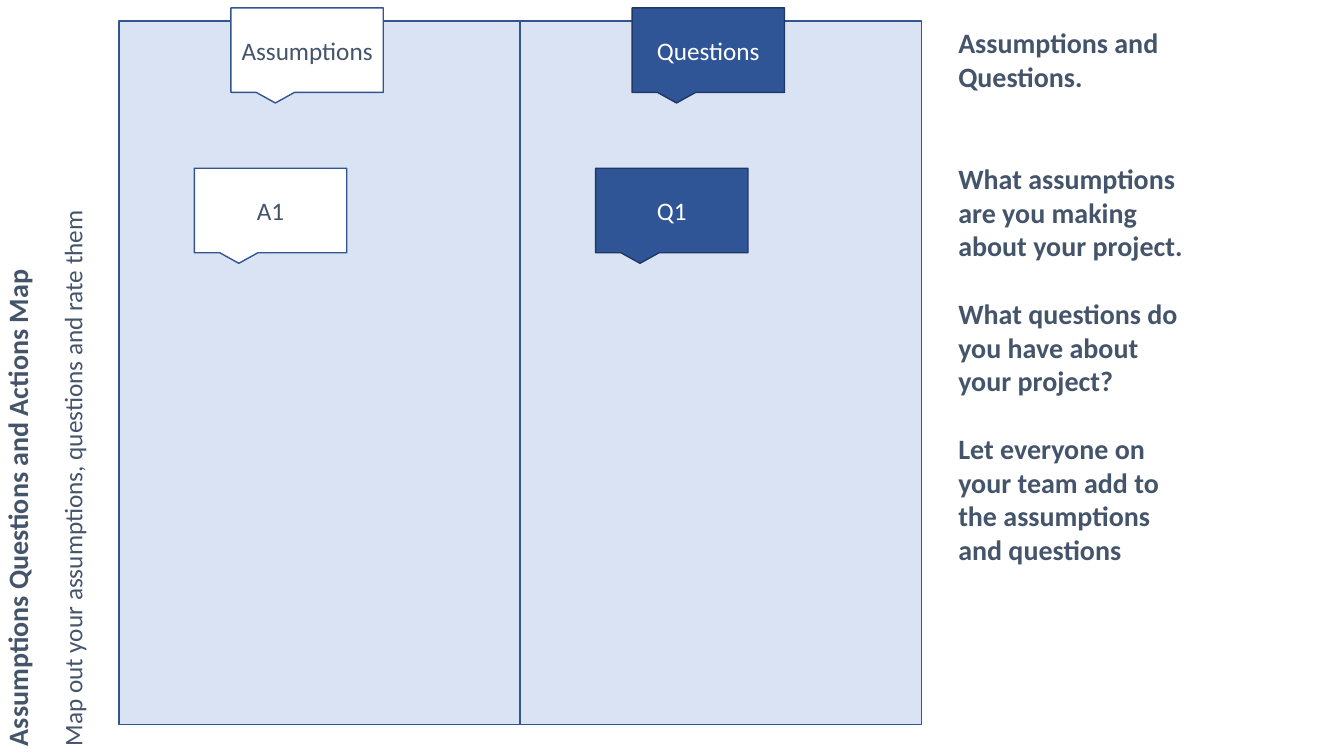
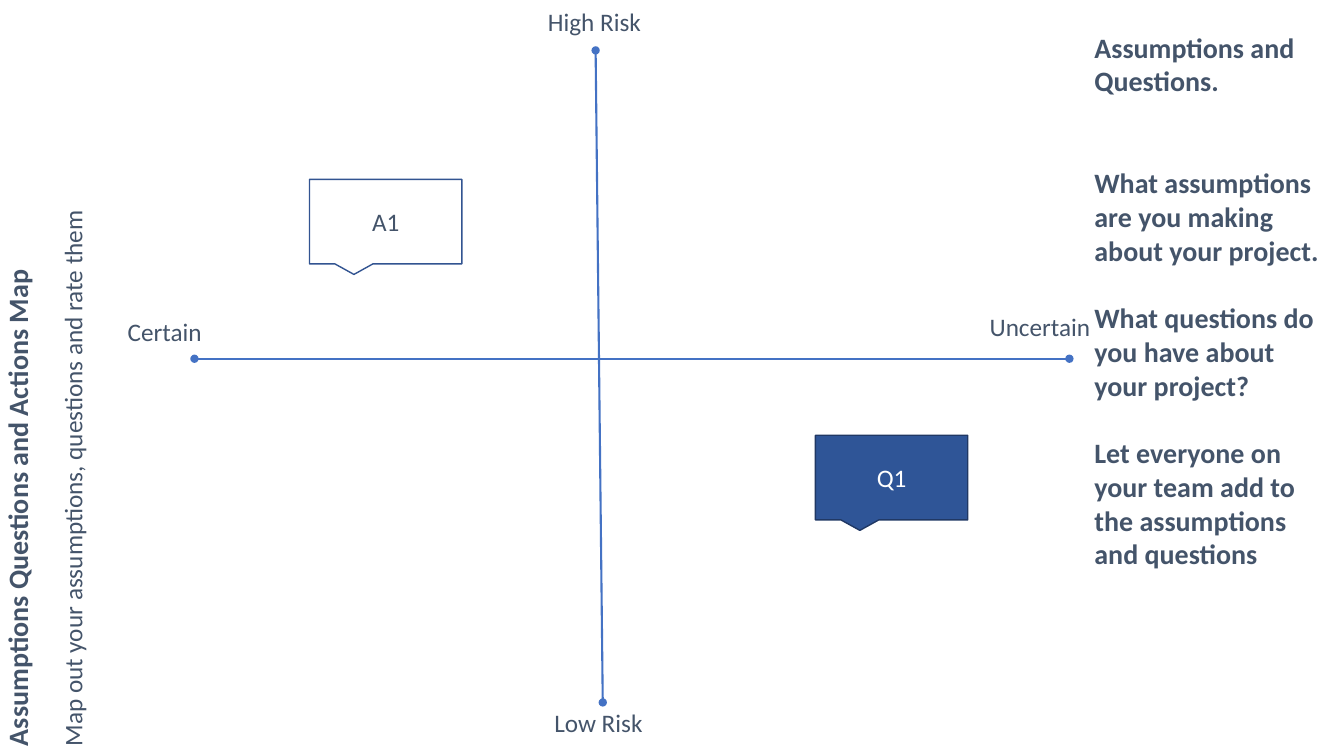
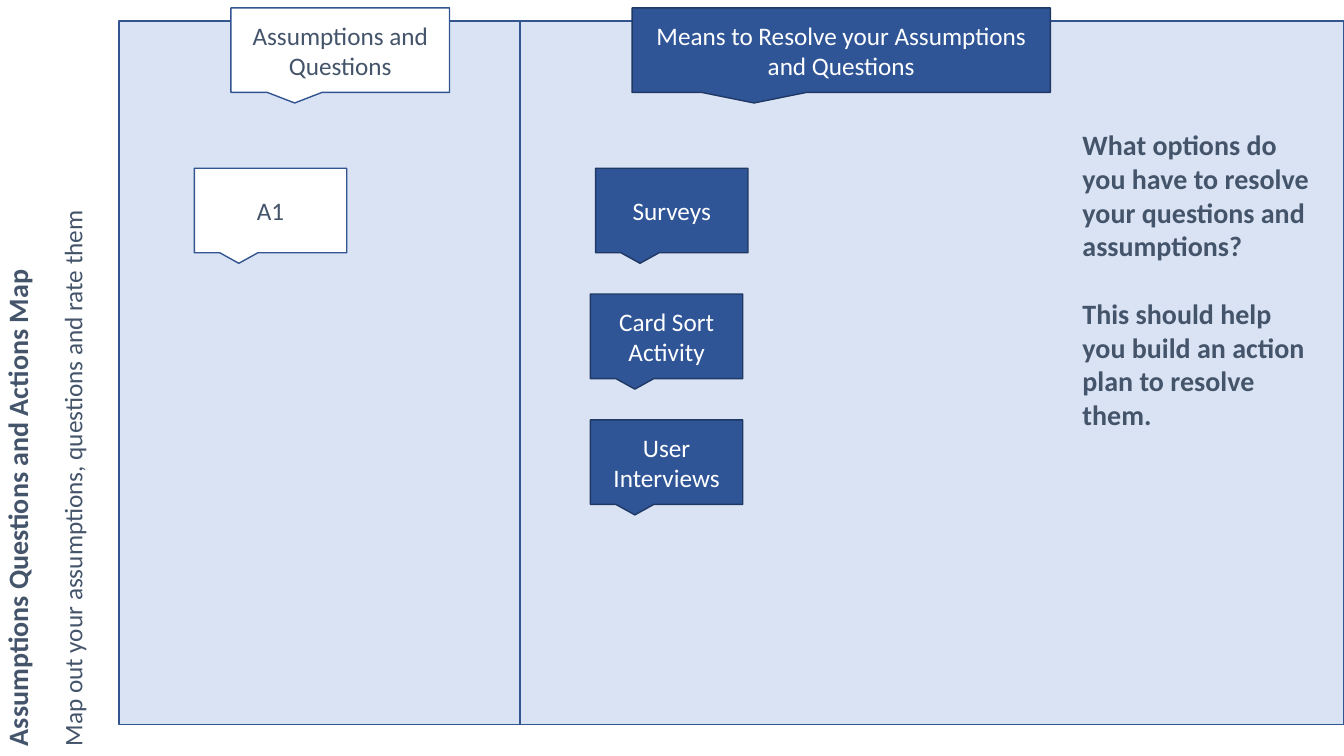
from lxml import etree
from pptx import Presentation
from pptx.dml.color import RGBColor
from pptx.enum.shapes import MSO_CONNECTOR, MSO_SHAPE
from pptx.enum.text import MSO_ANCHOR, MSO_AUTO_SIZE, PP_ALIGN
from pptx.oxml.ns import qn
from pptx.util import Cm, Pt

LEFT, CENTER = PP_ALIGN.LEFT, PP_ALIGN.CENTER
TOP, MIDDLE = MSO_ANCHOR.TOP, MSO_ANCHOR.MIDDLE
RECT, CALLOUT = MSO_SHAPE.RECTANGLE, MSO_SHAPE.RECTANGULAR_CALLOUT
STRAIGHT = MSO_CONNECTOR.STRAIGHT
NO_AUTOFIT = MSO_AUTO_SIZE.NONE

FONT = "Calibri"
COLORS = {"text": "44546A", "white": "FFFFFF", "panel": "DAE3F3", "edge": "325491",
          "question": "2F5597", "question_edge": "203864", "axis": "4472C4"}
# Callout kind: fill, line, text
CALLOUTS = {"assumption": ("white", "edge", "text"),
            "question": ("question", "question_edge", "white")}

# Content: lengths in cm
TITLE = "Assumptions Questions and Actions Map"
SUBTITLE = "Map out your assumptions, questions and rate them"
# Guide paragraphs: text, blank lines kept above it
TEAM_GUIDE = [("Assumptions and Questions.", 0),
              ("What assumptions are you making about your project.", 2),
              ("What questions do you have about your project?", 1),
              ("Let everyone on your team add to the assumptions and questions", 1)]
ACTION_GUIDE = [("What options do you have to resolve your questions and assumptions?", 0),
                ("This should help you build an action plan to resolve them.", 1)]

SLIDE_W, SLIDE_H = 33.87, 19.05
PANEL_X, PANEL_Y, PANEL_W, PANEL_H = 3, 0.53, 10.11, 17.73
NOTE_W, NOTE_H, NOTE_Y, NOTE_PITCH = 3.84, 2.13, 4.24, 3.17
HEADING_Y, HEADING_INDENT, NOTE_INDENT = 0.2, 2.82, 1.9
GUIDE_W, LABEL_H = 6.22, 1.02
LINE_PITCH = 24.4  # points, one line of 20 pt text

# Columns: kind, panel width, heading, heading width, notes (text, shift in x)
SLIDES = [
    {"guide": (TEAM_GUIDE, 23.9, 0.53, 13.94),
     "columns": [("assumption", PANEL_W, "Assumptions", NOTE_W, [("A1", 0)]),
                 ("question", PANEL_W, "Questions", NOTE_W, [("Q1", 0)])]},
    {"guide": (TEAM_GUIDE, 27.33, 0.64, 13.94),
     "notes": [("assumption", "A1", 7.8, 4.52), ("question", "Q1", 20.55, 10.97)],
     "axes": [(4.9, 9.04, 26.95, 9.04), (15.01, 1.27, 15.19, 17.7)],
     "labels": [("High Risk", 13.56, 0.03, 2.9), ("Low Risk", 13.72, 17.7, 2.9),
                ("Certain", 2.97, 7.85, 2.9), ("Uncertain", 24.69, 7.72, 3.5)]},
    {"guide": (ACTION_GUIDE, 27.03, 3.1, 7.95),
     "columns": [("assumption", PANEL_W, "Assumptions and Questions", 5.51, [("A1", 0)]),
                 ("question", SLIDE_W - PANEL_X - PANEL_W,
                  "Means to Resolve your Assumptions and Questions", 10.54,
                  [("Surveys", 0), ("Card Sort Activity", -0.13),
                   ("User Interviews", -0.13)])]},
]


def rgb(name):
    return RGBColor.from_string(COLORS[name])


def write(shape, paragraphs, size=18, color="text", bold=False, align=LEFT, anchor=TOP):
    frame = shape.text_frame
    frame.word_wrap = True
    frame.auto_size = NO_AUTOFIT
    frame.vertical_anchor = anchor
    for i, (text, blank_lines) in enumerate(paragraphs):
        paragraph = frame.paragraphs[0] if i == 0 else frame.add_paragraph()
        paragraph.text = text
        paragraph.alignment = align
        if blank_lines:
            paragraph.space_before = Pt(blank_lines * LINE_PITCH)
        font = paragraph.font
        font.name, font.size, font.bold = FONT, Pt(size), bold
        font.color.rgb = rgb(color)


def add_text(slide, paragraphs, x, y, w, h, **style):
    box = slide.shapes.add_textbox(Cm(x), Cm(y), Cm(w), Cm(h))
    write(box, paragraphs, **style)
    return box


def add_box(slide, preset, x, y, w, h, fill, line):
    box = slide.shapes.add_shape(preset, Cm(x), Cm(y), Cm(w), Cm(h))
    box.shadow.inherit = False
    box.fill.solid()
    box.fill.fore_color.rgb = rgb(fill)
    box.line.color.rgb = rgb(line)
    box.line.width = Pt(1)
    return box


def add_callout(slide, kind, text, x, y, w=NOTE_W):
    fill, line, color = CALLOUTS[kind]
    callout = add_box(slide, CALLOUT, x, y, w, NOTE_H, fill, line)
    write(callout, [(text, 0)], color=color, align=CENTER, anchor=MIDDLE)


def add_axis(slide, x1, y1, x2, y2):
    axis = slide.shapes.add_connector(STRAIGHT, Cm(x1), Cm(y1), Cm(x2), Cm(y2))
    axis.line.color.rgb = rgb("axis")
    axis.line.width = Pt(1.5)
    line = axis.line._get_or_add_ln()
    for end in ("a:headEnd", "a:tailEnd"):
        etree.SubElement(line, qn(end), type="oval")
    etree.SubElement(axis._element.spPr, qn("a:effectLst"))


def add_columns(slide, columns):
    x = PANEL_X
    for kind, panel_w, heading, heading_w, notes in columns:
        add_box(slide, RECT, x, PANEL_Y, panel_w, PANEL_H, "panel", "edge")
        add_callout(slide, kind, heading, x + HEADING_INDENT, HEADING_Y, heading_w)
        for row, (note, shift) in enumerate(notes):
            add_callout(slide, kind, note, x + NOTE_INDENT + shift, NOTE_Y + row * NOTE_PITCH)
        x += panel_w


def add_titles(slide):
    title = slide.shapes.title
    title.left, title.top, title.width, title.height = Cm(-6.83), Cm(11.23), Cm(14.53), Cm(1.12)
    write(title, [(TITLE, 0)], size=20, bold=True)
    subtitle = add_text(slide, [(SUBTITLE, 0)], -7.7, 9.02, SLIDE_H, LABEL_H)
    title.rotation = subtitle.rotation = 270


def main():
    prs = Presentation()
    prs.slide_width, prs.slide_height = Cm(SLIDE_W), Cm(SLIDE_H)
    title_only = prs.slide_layouts[5]
    for content in SLIDES:
        slide = prs.slides.add_slide(title_only)
        add_titles(slide)
        add_columns(slide, content.get("columns", []))
        # Risk and certainty map
        for kind, text, x, y in content.get("notes", []):
            add_callout(slide, kind, text, x, y)
        for ends in content.get("axes", []):
            add_axis(slide, *ends)
        for text, x, y, w in content.get("labels", []):
            add_text(slide, [(text, 0)], x, y, w, LABEL_H)
        # Side guide
        guide, x, y, h = content["guide"]
        add_text(slide, guide, x, y, GUIDE_W, h, size=20, bold=True)
    prs.save("out.pptx")


if __name__ == "__main__":
    main()
